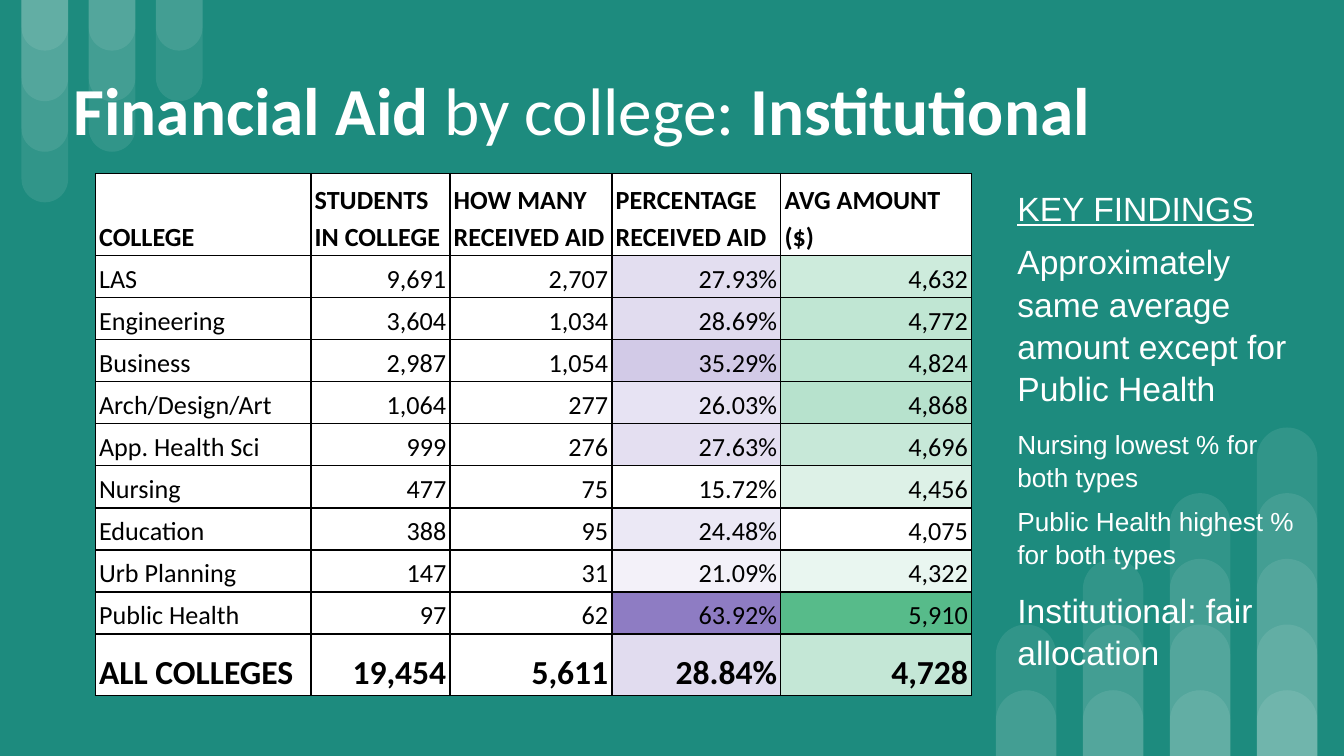
"""Build the slide on institutional financial aid by college."""
from dataclasses import dataclass

from lxml import etree
from pptx import Presentation
from pptx import util as u
from pptx.dml.color import RGBColor
from pptx.enum import shapes, text
from pptx.oxml.ns import qn


@dataclass(frozen=True)
class Theme:
    back: str = "1D8B7E"
    light: str = "FFFFFF"
    dark: str = "000000"
    purple: str = "8E7CC3"
    green: str = "57BB8A"
    title: int = 36
    large: int = 18
    small: int = 14
    body_font: str = "Arial"
    table_font: str = "Calibri"
    bar_alpha: int = 9
    border: float = 0.75


HEAD = ["COLLEGE", "STUDENTS\nIN COLLEGE", "HOW MANY\nRECEIVED AID",
        "PERCENTAGE RECEIVED AID", "AVG AMOUNT ($)"]
COLLEGES = [
    ("LAS", 9691, 2707, 27.93, 4632),
    ("Engineering", 3604, 1034, 28.69, 4772),
    ("Business", 2987, 1054, 35.29, 4824),
    ("Arch/Design/Art", 1064, 277, 26.03, 4868),
    ("App. Health Sci", 999, 276, 27.63, 4696),
    ("Nursing", 477, 75, 15.72, 4456),
    ("Education", 388, 95, 24.48, 4075),
    ("Urb Planning", 147, 31, 21.09, 4322),
    ("Public Health", 97, 62, 63.92, 5910),
    ("ALL COLLEGES", 19454, 5611, 28.84, 4728),
]
COL_WIDTHS = [115.5, 74.5, 86.75, 90.5, 102.25]
ROW_HEIGHTS = [44] + [22.55] * 9 + [33.1]


def put(obj, fmt):
    for name, value in fmt.items():
        setattr(obj, name, value)


def tint(value, values, color):
    low, high = min(values), max(values)
    share = (value - low) / (high - low)
    return RGBColor(*(255 - int((255 - c) * share) for c in RGBColor.from_string(color)))


class Deck:
    def __init__(self, theme):
        self.t = theme
        self.prs = Presentation()
        put(self.prs, {"slide_width": u.Pt(720), "slide_height": u.Pt(405)})
        self.s = self.prs.slides.add_slide(self.prs.slide_layouts[6])
        self.paint(self.s.background.fill, RGBColor.from_string(theme.back))

    def paint(self, fill, color):
        fill.solid()
        fill.fore_color.rgb = color

    def run(self, p, content, color, **font):
        r = p.add_run()
        r.text = content
        put(r.font, font)
        r.font.color.rgb = RGBColor.from_string(color)

    def bars(self, counts, left, pitch, width, unit, hanging):
        group = self.s.shapes.add_group_shape()
        for i, count in enumerate(counts):
            for n in range(count, 0, -1):
                top = 0 if hanging else 405 - n * unit
                sp = group.shapes.add_shape(
                    shapes.MSO_SHAPE.ROUND_2_SAME_RECTANGLE,
                    u.Pt(left + i * pitch), u.Pt(top), u.Pt(width), u.Pt(n * unit))
                sp.adjustments[0], sp.adjustments[1] = 0.5, 0
                sp.rotation = 180 if hanging else 0
                sp.shadow.inherit = False
                sp.line.fill.background()
                self.paint(sp.fill, RGBColor.from_string(self.t.light))
                color = sp.element.spPr.find(qn("a:solidFill"))[0]
                etree.SubElement(color, qn("a:alpha"), val=str(self.t.bar_alpha * 1000))

    def textbox(self, box, paragraphs, anchor, spacing=1.0):
        tf = self.s.shapes.add_textbox(*map(u.Pt, box)).text_frame
        margins = dict.fromkeys(
            ["margin_left", "margin_right", "margin_top", "margin_bottom"], u.Pt(7.2))
        put(tf, {"word_wrap": True, "vertical_anchor": anchor, **margins})
        for i, (before, runs) in enumerate(paragraphs):
            p = tf.add_paragraph() if i else tf.paragraphs[0]
            put(p, {"space_before": u.Pt(before), "line_spacing": spacing})
            for content, font in runs:
                self.run(p, content, self.t.light, **font)

    def borders(self, cell):
        tc_pr = cell._tc.get_or_add_tcPr()
        for side in ("lnL", "lnR", "lnT", "lnB"):
            ln = etree.SubElement(tc_pr, qn(f"a:{side}"), w=str(u.Pt(self.t.border)))
            fill = etree.SubElement(ln, qn("a:solidFill"))
            etree.SubElement(fill, qn("a:srgbClr"), val=self.t.dark)

    def cell(self, cell, content, fill, size, bold, align):
        put(cell, {"margin_left": u.Pt(2), "margin_right": u.Pt(2),
                   "margin_top": u.Pt(1.25), "margin_bottom": u.Pt(1.25),
                   "vertical_anchor": text.MSO_ANCHOR.BOTTOM})
        self.borders(cell)
        self.paint(cell.fill, fill)
        tf = cell.text_frame
        for i, line in enumerate(content.split("\n")):
            p = tf.add_paragraph() if i else tf.paragraphs[0]
            put(p, {"alignment": align, "line_spacing": 1.15})
            self.run(p, line, self.t.dark, name=self.t.table_font, size=u.Pt(size), bold=bold)

    def table(self, left, top, head, rows, widths, heights):
        t = self.t
        box = map(u.Pt, (left, top, sum(widths), sum(heights)))
        tbl = self.s.shapes.add_table(len(heights), len(widths), *box).table
        put(tbl, {"first_row": False, "horz_banding": False})
        for col, width in zip(tbl.columns, widths):
            col.width = u.Pt(width)
        for row, height in zip(tbl.rows, heights):
            row.height = u.Pt(height)
        white = RGBColor.from_string(t.light)
        start, end = text.PP_ALIGN.LEFT, text.PP_ALIGN.RIGHT
        for c, content in enumerate(head):
            self.cell(tbl.cell(0, c), content, white, t.small, True, start)
        formats = ["{}", "{:,}", "{:,}", "{:.2f}%", "{:,}"]
        scales = {3: t.purple, 4: t.green}
        for i, row in enumerate(rows, 1):
            total = i == len(rows)
            for c, value in enumerate(row):
                fill = tint(value, [x[c] for x in rows], scales[c]) if c in scales else white
                self.cell(tbl.cell(i, c), formats[c].format(value), fill,
                          t.large if total else t.small, total, end if c else start)


def main():
    t = Theme()
    d = Deck(t)
    d.bars([4, 3, 2], 11.5, 36, 25, 27.1, True)
    d.bars([2, 3, 4, 5], 533.5, 46.6, 32.4, 35.2, False)
    large = {"name": t.body_font, "size": u.Pt(t.large)}
    small = {**large, "size": u.Pt(t.small)}
    findings = [
        (0, [("KEY FINDINGS", {**large, "underline": True})]),
        (6, [("Approximately same average amount except for Public Health", large)]),
        (9.7, [("Nursing lowest % for both types", small)]),
        (6, [("Public Health highest % for both types", small)]),
        (9.7, [("Institutional: fair allocation", large)]),
    ]
    d.textbox((538, 92.2, 165.6, 229.7), findings, text.MSO_ANCHOR.TOP, 1.05)
    plain = {"name": t.table_font, "size": u.Pt(t.title), "bold": False}
    bold = {**plain, "bold": True}
    title = [("Financial Aid ", bold), ("by college: ", plain), ("Institutional", bold)]
    d.textbox((32.4, 27.4, 716.4, 59.8), [(0, title)], text.MSO_ANCHOR.BOTTOM)
    d.table(51.1, 92.9, HEAD, COLLEGES, COL_WIDTHS, ROW_HEIGHTS)
    d.prs.save("out.pptx")


if __name__ == "__main__":
    main()
